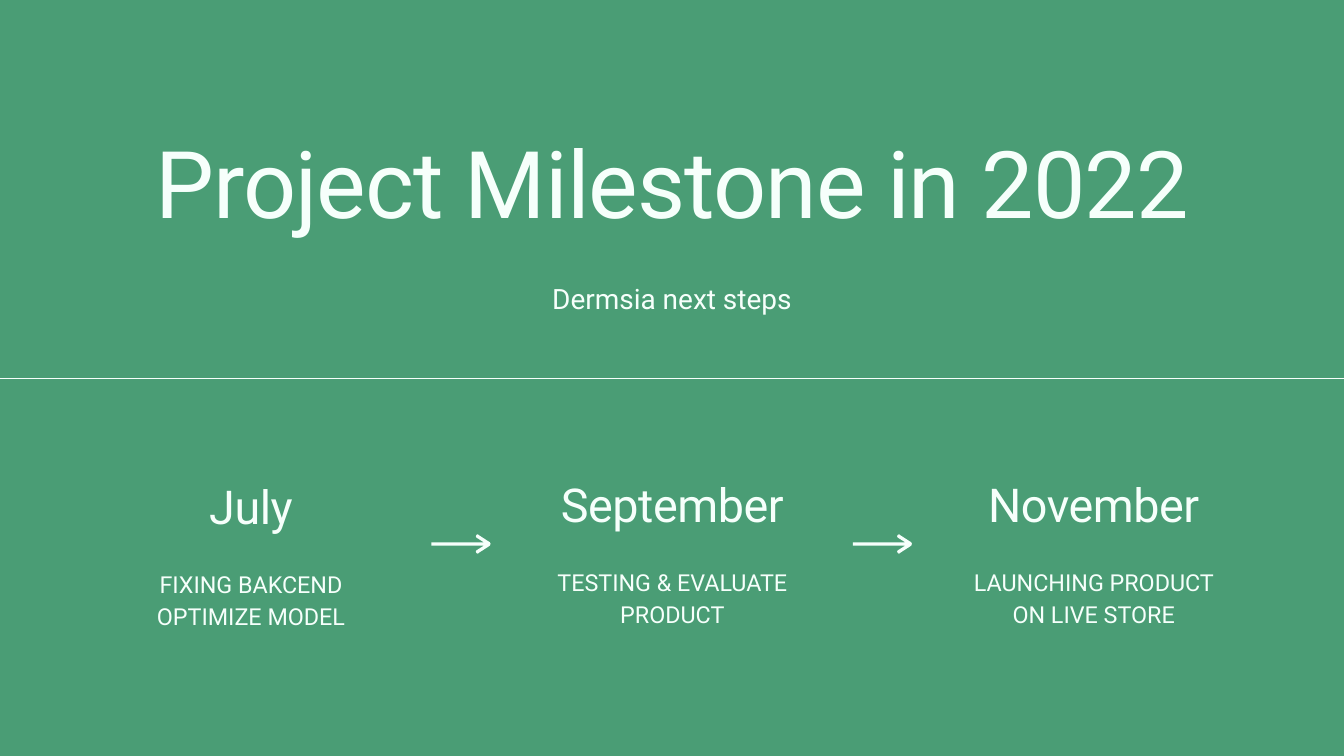
"""Build the project milestone slide."""
from dataclasses import dataclass

import lxml.etree
import pptx
import pptx.dml.color
import pptx.enum.shapes
import pptx.enum.text
import pptx.oxml.ns
import pptx.slide
import pptx.util

Inches = pptx.util.Inches
Pt = pptx.util.Pt


@dataclass(frozen=True)
class TextStyle:
    size: float
    leading: float
    tracking: float = 0


@dataclass(frozen=True)
class Theme:
    font: str = "Roboto"
    ground: pptx.dml.color.RGBColor = pptx.dml.color.RGBColor(0x4A, 0x9D, 0x75)
    ink: pptx.dml.color.RGBColor = pptx.dml.color.RGBColor(0xF6, 0xFF, 0xFB)
    title: TextStyle = TextStyle(100, 110, -1)
    subtitle: TextStyle = TextStyle(30, 42)
    month: TextStyle = TextStyle(50, 55, -0.5)
    task: TextStyle = TextStyle(25, 35)


@dataclass(frozen=True)
class Milestone:
    month: str
    task: str
    top: float


THEME = Theme()
SLIDE_WIDTH, SLIDE_HEIGHT = 20, 11.25
MARGIN = 0.73
FIRST_LEFT, COLUMN_WIDTH, COLUMN_PITCH = 1.68, 4.11, 6.27
TASK_DROP = 1.23
ARROW_LEFT, ARROW_TOP = 6.42, 7.95
ARROW_POINTS = (
    (0, 12), (78, 12), (67, 5), (66, 3), (67, 1), (69, 0), (70, 1), (87, 12),
    (88.5, 14.5), (87, 17), (70, 28), (69, 29), (67, 28), (66, 26), (67, 24),
    (78, 17), (0, 17),
)
MILESTONES = (
    Milestone("July", "FIXING BAKCEND OPTIMIZE MODEL", 7.18),
    Milestone("September", "TESTING & EVALUATE PRODUCT", 7.15),
    Milestone("November", "LAUNCHING PRODUCT ON LIVE STORE", 7.15),
)


def add_text(page: pptx.slide.Slide, text: str, style: TextStyle,
             left: float, top: float, width: float, height: float) -> None:
    box = page.shapes.add_textbox(Inches(left), Inches(top), Inches(width), Inches(height))
    frame = box.text_frame
    frame_format = {"word_wrap": True, "margin_left": 0, "margin_right": 0,
                    "margin_top": 0, "margin_bottom": 0}
    for name, value in frame_format.items():
        setattr(frame, name, value)
    para = frame.paragraphs[0]
    para.alignment = pptx.enum.text.PP_ALIGN.CENTER
    para.line_spacing = Pt(style.leading)
    span = para.add_run()
    span.text = text
    for name, value in {"name": THEME.font, "size": Pt(style.size)}.items():
        setattr(span.font, name, value)
    span.font.color.rgb = THEME.ink
    if style.tracking:
        span.font._element.set("spc", str(round(style.tracking * 100)))


def add_arrow(page: pptx.slide.Slide, left: float, top: float) -> None:
    start, *others = ARROW_POINTS
    builder = page.shapes.build_freeform(*start, scale=Inches(0.01))
    builder.add_line_segments(others, close=True)
    arrow = builder.convert_to_shape(Inches(left), Inches(top))
    arrow.shadow.inherit = False
    arrow.fill.solid()
    arrow.fill.fore_color.rgb = THEME.ink
    arrow.line.fill.background()


def add_divider(page: pptx.slide.Slide, top: float) -> None:
    divider = page.shapes.add_connector(
        pptx.enum.shapes.MSO_CONNECTOR.STRAIGHT,
        Inches(0), Inches(top), Inches(SLIDE_WIDTH), Inches(top))
    divider.line.color.rgb = THEME.ink
    divider.line.width = Pt(0.75)
    lxml.etree.SubElement(divider._element.spPr, pptx.oxml.ns.qn("a:effectLst"))


def add_milestone(page: pptx.slide.Slide, milestone: Milestone, left: float) -> None:
    add_text(page, milestone.month, THEME.month, left, milestone.top, COLUMN_WIDTH, 0.8)
    add_text(page, milestone.task, THEME.task, left, milestone.top + TASK_DROP,
             COLUMN_WIDTH, 0.93)


def main() -> None:
    deck = pptx.Presentation()
    deck.slide_width, deck.slide_height = Inches(SLIDE_WIDTH), Inches(SLIDE_HEIGHT)
    page = deck.slides.add_slide(deck.slide_layouts[6])
    page.background.fill.solid()
    page.background.fill.fore_color.rgb = THEME.ground

    text_width = SLIDE_WIDTH - 2 * MARGIN
    add_text(page, "Project Milestone in 2022", THEME.title, MARGIN, 2, text_width, 1.59)
    add_text(page, "Dermsia next steps", THEME.subtitle, MARGIN, 4.1, text_width, 0.55)
    for column, milestone in enumerate(MILESTONES):
        add_milestone(page, milestone, FIRST_LEFT + column * COLUMN_PITCH)
    for gap in range(len(MILESTONES) - 1):
        add_arrow(page, ARROW_LEFT + gap * COLUMN_PITCH, ARROW_TOP)
    add_divider(page, SLIDE_HEIGHT / 2)
    deck.save("out.pptx")


if __name__ == "__main__":
    main()
